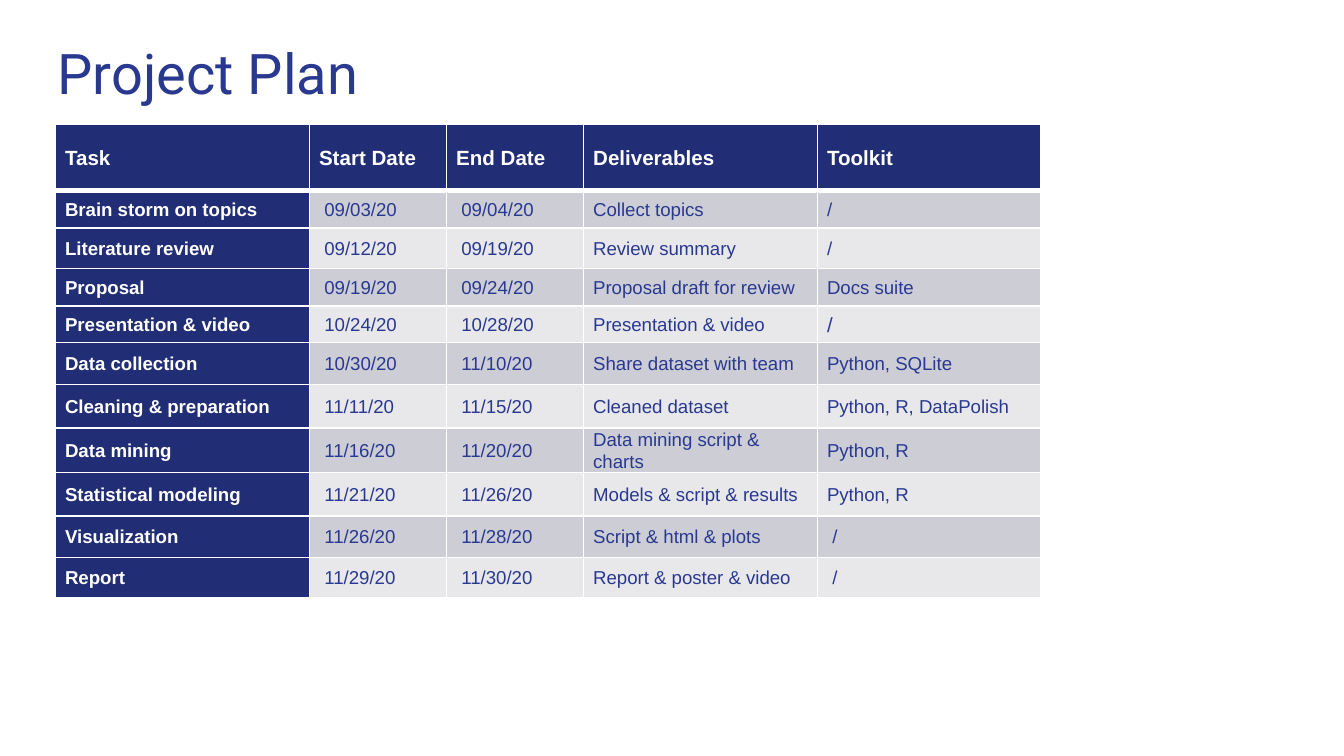
from dataclasses import dataclass

from lxml.etree import SubElement
from pptx import Presentation
from pptx.dml.color import RGBColor as Rgb
from pptx.enum.text import MSO_ANCHOR as Anchor, MSO_AUTO_SIZE as AutoSize, PP_ALIGN as Align
from pptx.oxml.ns import qn
from pptx.util import Cm, Pt


@dataclass(frozen=True)
class Theme:
    """Colours, fonts and type sizes of the slide."""
    ink: str = "2A3990"
    navy: str = "212D74"
    white: str = "FFFFFF"
    bands: tuple = ("E8E8EB", "CDCDD6")
    title_font: str = "Roboto"
    table_font: str = "Arial"
    title_size: int = 30
    header_size: int = 11
    body_size: int = 10
    rule: int = 1
    header_rule: int = 3


THEME = Theme()
PLAN = [
    ("Task", "Start Date", "End Date", "Deliverables", "Toolkit"),
    ("Brain storm on topics", "09/03/20", "09/04/20", "Collect topics", "/"),
    ("Literature review", "09/12/20", "09/19/20", "Review summary", "/"),
    ("Proposal", "09/19/20", "09/24/20", "Proposal draft for review", "Docs suite"),
    ("Presentation & video", "10/24/20", "10/28/20", "Presentation & video", "/"),
    ("Data collection", "10/30/20", "11/10/20", "Share dataset with team", "Python, SQLite"),
    ("Cleaning & preparation", "11/11/20", "11/15/20", "Cleaned dataset", "Python, R, DataPolish"),
    ("Data mining", "11/16/20", "11/20/20", "Data mining script & charts", "Python, R"),
    ("Statistical modeling", "11/21/20", "11/26/20", "Models & script & results", "Python, R"),
    ("Visualization", "11/26/20", "11/28/20", "Script & html & plots", "/"),
    ("Report", "11/29/20", "11/30/20", "Report & poster & video", "/"),
]
COLUMN_WIDTHS = (4.8, 2.59, 2.59, 4.42, 4.22)
ROW_HEIGHTS = (1.24, 0.72, 0.76, 0.71, 0.69, 0.79, 0.82, 0.76, 0.82, 0.79, 0.76)
INDENTED = {(row, col) for row in range(1, len(PLAN)) for col in (1, 2)} | {(9, 4), (10, 4)}
ENLARGED = {(4, 4)}


def apply(target, values):
    """Set each named attribute of the target."""
    for name, value in values.items():
        setattr(target, name, value)


def style_font(font, face, size, colour, bold=False):
    """Give a font its face, size, colour and weight."""
    apply(font, {"name": face, "size": Pt(size), "bold": bold})
    font.color.rgb = Rgb.from_string(colour)


def add_borders(cell, top, bottom):
    """Draw white rules on the four sides of a cell."""
    properties = cell._tc.get_or_add_tcPr()
    for side, width in {"L": THEME.rule, "R": THEME.rule, "T": top, "B": bottom}.items():
        line = SubElement(properties, qn(f"a:ln{side}"), w=str(Pt(width)))
        SubElement(SubElement(line, qn("a:solidFill")), qn("a:srgbClr"), val=THEME.white)


def place_title(slide, text, box):
    """Place the slide title in the box."""
    title = slide.shapes.title
    apply(title, dict(zip(("left", "top", "width", "height"), map(Cm, box))))
    frame = title.text_frame
    frame.text = text
    margins = {f"margin_{side}": Cm(0.25) for side in ("left", "top", "right", "bottom")}
    apply(frame, margins | {"word_wrap": True, "auto_size": AutoSize.NONE,
                            "vertical_anchor": Anchor.TOP})
    heading = frame.paragraphs[0]
    apply(heading, {"alignment": Align.LEFT, "line_spacing": 1.0, "space_before": Pt(0)})
    style_font(heading.runs[0].font, THEME.title_font, THEME.title_size, THEME.ink)


def fill_cell(cell, text, row, col):
    """Write and format one cell of the plan."""
    header, strong = row == 0, row == 0 or col == 0
    add_borders(cell, THEME.header_rule if row == 1 else THEME.rule,
                THEME.header_rule if header else THEME.rule)
    cell.fill.solid()
    cell.fill.fore_color.rgb = Rgb.from_string(THEME.navy if strong else THEME.bands[row % 2])
    apply(cell, {"text": text, "vertical_anchor": Anchor.MIDDLE,
                 "margin_left": Cm(0.28 if (row, col) in INDENTED else 0.18),
                 "margin_right": Cm(0.18), "margin_top": 0, "margin_bottom": 0})
    entry = cell.text_frame.paragraphs[0]
    entry.line_spacing = 1.07
    large = header or (row, col) in ENLARGED
    style_font(entry.runs[0].font, THEME.table_font,
               THEME.header_size if large else THEME.body_size,
               THEME.white if strong else THEME.ink, strong)


def place_plan(slide, plan, box):
    """Place the task schedule in the box."""
    schedule = slide.shapes.add_table(len(plan), len(plan[0]), *map(Cm, box)).table
    for column, width in zip(schedule.columns, COLUMN_WIDTHS):
        column.width = Cm(width)
    for line, height in zip(schedule.rows, ROW_HEIGHTS):
        line.height = Cm(height)
    for row, entries in enumerate(plan):
        for col, text in enumerate(entries):
            fill_cell(schedule.cell(row, col), text, row, col)


def main():
    """Build and save the project plan slide."""
    deck = Presentation()
    apply(deck, {"slide_width": Cm(25.4), "slide_height": Cm(14.28)})
    slide = deck.slides.add_slide(deck.slide_layouts.get_by_name("Title Only"))
    place_title(slide, "Project Plan", (0.84, 0.48, 15.77, 2.24))
    place_plan(slide, PLAN, (1.05, 2.35, sum(COLUMN_WIDTHS), sum(ROW_HEIGHTS)))
    deck.save("out.pptx")


if __name__ == "__main__":
    main()
